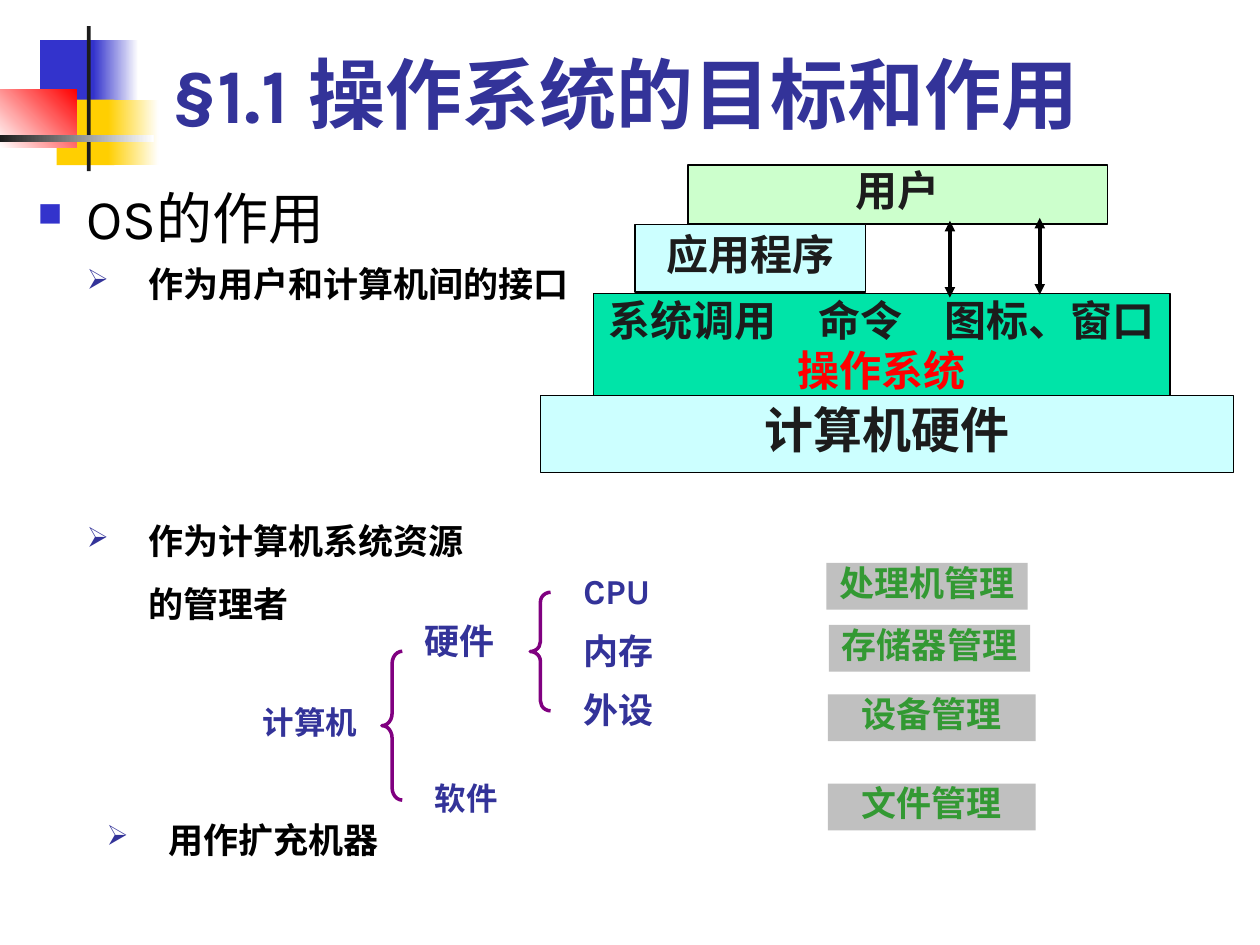
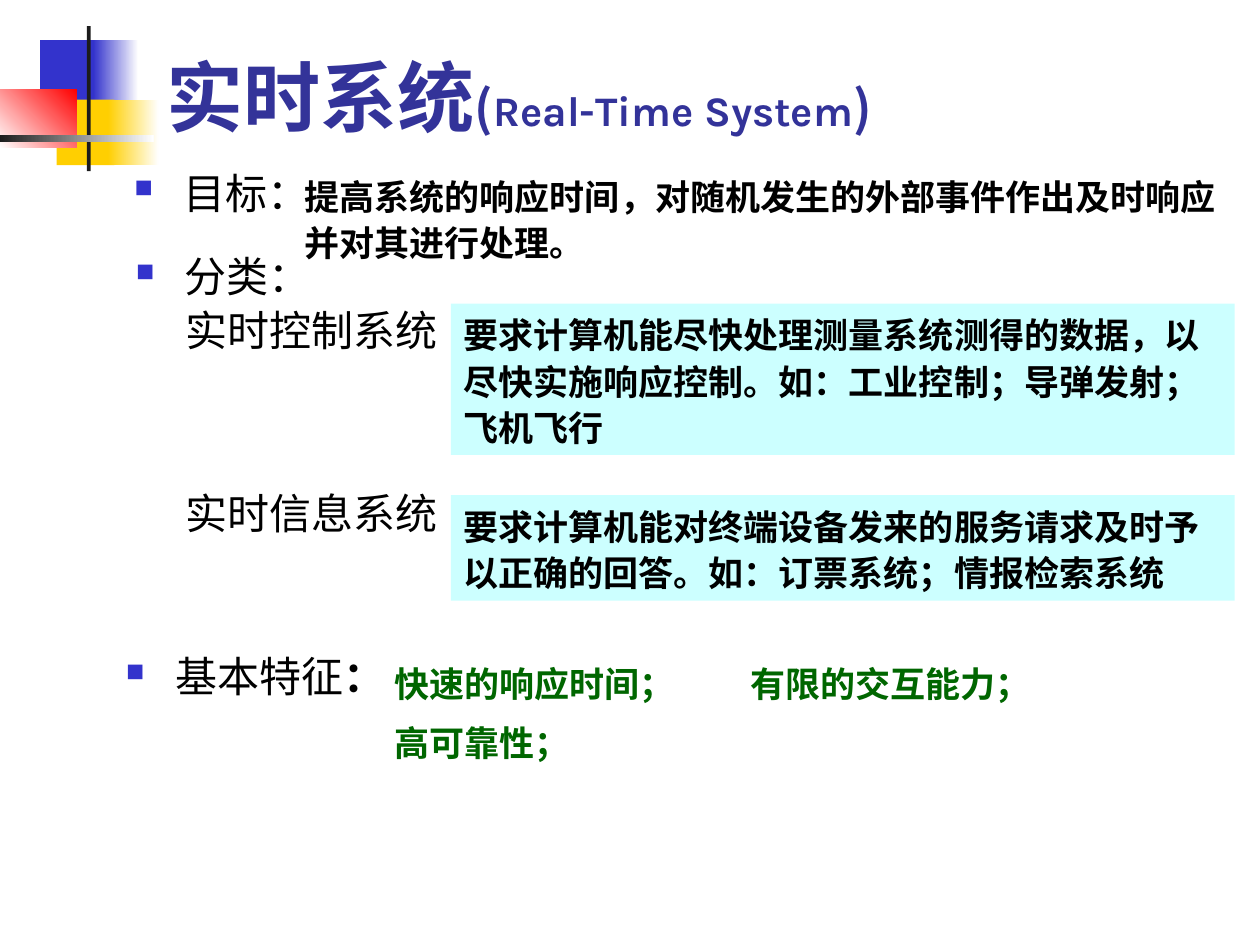
import pptx
import pptx.dml.color
import pptx.enum.dml
import pptx.enum.shapes
import pptx.enum.text
import pptx.oxml.ns
import pptx.util
from lxml import etree

Cm = pptx.util.Cm
Pt = pptx.util.Pt
RGBColor = pptx.dml.color.RGBColor
Shape = pptx.enum.shapes.MSO_SHAPE
Align = pptx.enum.text.PP_ALIGN
Anchor = pptx.enum.text.MSO_ANCHOR
qn = pptx.oxml.ns.qn

LATIN_FONT = "Karla"
CHINESE_FONT = "Noto Sans CJK SC"

WHITE = RGBColor(0xFF, 0xFF, 0xFF)
BLACK = RGBColor(0, 0, 0)
INK = RGBColor(0x1C, 0x1C, 0x1C)
NAVY = RGBColor(0x33, 0x33, 0x99)
BLUE = RGBColor(0x33, 0x33, 0xCC)
GOLD = RGBColor(0xFF, 0xCF, 0x01)
RED = RGBColor(0xFF, 0, 0)
PURPLE = RGBColor(0x80, 0, 0x80)
GRAY = RGBColor(0xC0, 0xC0, 0xC0)
GREEN = RGBColor(0x33, 0x99, 0x33)
DARK_GREEN = RGBColor(0, 0x66, 0)
MINT = RGBColor(0xCC, 0xFF, 0xCC)
CYAN = RGBColor(0xCC, 0xFF, 0xFF)
TEAL = RGBColor(0, 0xE4, 0xA8)

# Places are (left, top, width, height) in centimetres.
# Emblem parts: place, colour or (from, to) gradient, gradient angle
EMBLEM = [
    ((0.81, 0.81, 1.22, 1.32), BLUE, 0),
    ((1.88, 0.81, 0.91, 1.32), (BLUE, WHITE), 0),
    ((1.14, 2.01, 1.17, 1.32), GOLD, 0),
    ((2.18, 2.01, 1.02, 1.32), (GOLD, WHITE), 0),
    ((0, 1.8, 1.55, 1.17), (WHITE, RED), 45),
    ((1.75, 0.53, 0.08, 2.92), INK, 0),
    ((0, 2.72, 3.1, 0.15), (INK, WHITE), 0),
]

# Bullet styles: character, colour, size in percent, hanging indent
SQUARE = ("■", BLUE, 60, 0.99)
ARROWHEAD = ("➢", NAVY, 80, 1.24)

# Title runs: text, size, font
GOALS_TITLE = [("§1.1 操作系统的目标和作用", 44, LATIN_FONT)]
REALTIME_TITLE = [
    ("实时系统", 44, LATIN_FONT),
    ("(", 28, CHINESE_FONT),
    ("Real-Time System", 24, LATIN_FONT),
    (")", 28, CHINESE_FONT),
]

# Roles of the operating system: text, place, line spacing
ROLES = [
    ("作为用户和计算机间的接口", (1.5, 5.33, 13.49, 1.4), 0.8),
    ("作为计算机系统资源的管理者", (1.5, 9.93, 8.2, 1.6), 1.5),
    ("用作扩充机器", (1.9, 16.54, 9.91, 1.6), 0.8),
]
# Layers: lines of (text, colour), size, place, fill, line spacing
LAYERS = [
    ([("用户", INK)], 24, (13.87, 3.33, 8.46, 1.19), MINT, 0.8),
    ([("应用程序", INK)], 24, (12.8, 4.52, 4.65, 1.37), CYAN, 0.8),
    ([("系统调用　命令　图标、窗口", INK), ("操作系统", RED)], 24,
     (11.96, 5.92, 11.63, 2.06), TEAL, 1.0),
    ([("计算机硬件", INK)], 28, (10.9, 7.98, 13.97, 1.55), CYAN, 0.8),
]
USER_LINKS = [(19.15, 4.45), (20.96, 4.39)]
LINK_LENGTH = 1.55

# Resource tree: text, size, place
BRANCHES = [
    ("计算机", 18, (5.05, 14.2, 2.84, 0.86)),
    ("硬件", 20, (8.31, 12.52, 2, 0.94)),
    ("软件", 18, (8.51, 15.72, 1.9, 0.86)),
]
HARDWARE = ["CPU", "内存", "外设"]
HARDWARE_LEFT, HARDWARE_TOP, HARDWARE_STEP = 11.51, 11.53, 1.19
BRACES = [(7.7, 13.13, 0.41, 3), (10.69, 11.94, 0.41, 2.39)]
MANAGERS = [
    ("处理机管理", (16.66, 11.35, 4.06, 0.94)),
    ("存储器管理", (16.71, 12.6, 4.06, 0.94)),
    ("设备管理", (16.69, 14, 4.19, 0.94)),
    ("文件管理", (16.69, 15.8, 4.19, 0.94)),
]

# Headings: text, bold ending, place, line spacing
HEADINGS = [
    ("目标：", "", (2.46, 3.53, 4.39, 0.99), 0.7),
    ("分类：", "", (2.49, 5.13, 4.39, 1.19), 0.8),
    ("基本特征", "：", (2.29, 13.18, 5.99, 1.19), 0.8),
]
GOAL = "提高系统的响应时间，对随机发生的外部事件作出及时响应并对其进行处理。"
# Kinds: name, top of name, explanation, top and height of panel
KINDS = [
    ("实时控制系统", 6.22,
     "要求计算机能尽快处理测量系统测得的数据，以尽快实施响应控制。如：工业控制；导弹发射；飞机飞行",
     6.12, 3.05),
    ("实时信息系统", 9.91,
     "要求计算机能对终端设备发来的服务请求及时予以正确的回答。如：订票系统；情报检索系统",
     9.98, 2.13),
]
FEATURES = [("快速的响应时间；", 7.7, 13.39), ("有限的交互能力；", 14.88, 13.39),
            ("高可靠性；", 7.7, 14.58)]


def to_cm(place):
    return [Cm(length) for length in place]


def add_span(para, text, size, color, bold=False, font=LATIN_FONT):
    span = para.add_run()
    span.text = text
    span.font.size = Pt(size)
    span.font.bold = bold
    span.font.color.rgb = color
    span.font.name = font
    properties = span.font._element
    etree.SubElement(properties, qn("a:ea"), typeface=CHINESE_FONT)


def set_bullet(para, style):
    character, color, percent, indent = style
    properties = para._p.get_or_add_pPr()
    properties.set("marL", str(Cm(indent)))
    properties.set("indent", str(-Cm(indent)))
    bullet_color = etree.SubElement(properties, qn("a:buClr"))
    etree.SubElement(bullet_color, qn("a:srgbClr"), val=str(color))
    etree.SubElement(properties, qn("a:buSzPct"), val=str(percent * 1000))
    etree.SubElement(properties, qn("a:buChar"), char=character)


def space_para(para, spacing, before=0, align=Align.LEFT):
    para.alignment = align
    para.line_spacing = spacing
    para.space_before = Pt(before)


def add_text(slide, place, text, size, color, bold=True, spacing=0.8, before=0,
             bullet=None, fill=None, align=Align.LEFT):
    """Adds one paragraph, on a filled rectangle if fill is given; returns it."""
    if fill is None:
        box = slide.shapes.add_textbox(*to_cm(place))
    else:
        box = add_shape(slide, Shape.RECTANGLE, place, fill)
    frame = box.text_frame
    frame.word_wrap = True
    frame.vertical_anchor = Anchor.TOP
    para = frame.paragraphs[0]
    space_para(para, spacing, before, align)
    if bullet:
        set_bullet(para, bullet)
    add_span(para, text, size, color, bold)
    return para


def add_shape(slide, kind, place, fill=None, line=None, width=0.75):
    shape = slide.shapes.add_shape(kind, *to_cm(place))
    shape.shadow.inherit = False
    if fill is None:
        shape.fill.background()
    else:
        shape.fill.solid()
        shape.fill.fore_color.rgb = fill
    if line is None:
        shape.line.fill.background()
    else:
        shape.line.color.rgb = line
        shape.line.width = Pt(width)
    return shape


def add_double_arrow(slide, left, top, length):
    line = slide.shapes.add_connector(pptx.enum.shapes.MSO_CONNECTOR.STRAIGHT,
                                      *to_cm((left, top, left, top + length)))
    line.line.color.rgb = BLACK
    line.line.width = Pt(2)
    outline = line.line._get_or_add_ln()
    for end in ("a:headEnd", "a:tailEnd"):
        etree.SubElement(outline, qn(end), type="triangle")
    etree.SubElement(line.element.spPr, qn("a:effectLst"))


def move_emblem_to_layout(slide):
    """Draws the emblem and puts it in the layout, behind all slides."""
    layout = slide.slide_layout
    for placeholder in list(layout.placeholders):
        if placeholder.placeholder_format.idx != 0:
            placeholder.element.getparent().remove(placeholder.element)
    for place, color, angle in EMBLEM:
        if isinstance(color, RGBColor):
            part = add_shape(slide, Shape.RECTANGLE, place, color)
        else:
            part = add_shape(slide, Shape.RECTANGLE, place)
            part.fill.gradient()
            part.fill.gradient_angle = angle
            for stop, stop_color in zip(part.fill.gradient_stops, color):
                stop.color.rgb = stop_color
        layout.element.cSld.spTree.append(part.element)


def add_slide(deck, title_runs, place):
    slide = deck.slides.add_slide(deck.slide_layouts[5])
    title = slide.shapes.title
    title.left, title.top, title.width, title.height = to_cm(place)
    frame = title.text_frame
    frame.auto_size = pptx.enum.text.MSO_AUTO_SIZE.NONE
    frame.vertical_anchor = Anchor.BOTTOM
    para = frame.paragraphs[0]
    para.alignment = Align.LEFT
    for text, size, font in title_runs:
        add_span(para, text, size, NAVY, True, font)
    return slide


def fill_goals_slide(slide):
    add_text(slide, (0.51, 3.73, 11, 1.6), "OS的作用", 32, BLACK, bold=False,
             spacing=0.9, before=8, bullet=SQUARE)
    for text, place, spacing in ROLES:
        add_text(slide, place, text, 20, BLACK, spacing=spacing, bullet=ARROWHEAD)

    for lines, size, place, fill, spacing in LAYERS:
        layer = add_shape(slide, Shape.RECTANGLE, place, fill, BLACK)
        frame = layer.text_frame
        frame.word_wrap = True
        frame.vertical_anchor = Anchor.MIDDLE
        for index, (text, color) in enumerate(lines):
            para = frame.add_paragraph() if index else frame.paragraphs[0]
            space_para(para, spacing, align=Align.CENTER)
            add_span(para, text, size, color, True)
    for left, top in USER_LINKS:
        add_double_arrow(slide, left, top, LINK_LENGTH)

    for text, size, place in BRANCHES:
        add_text(slide, place, text, size, NAVY, before=size / 4)
    for row, text in enumerate(HARDWARE):
        place = (HARDWARE_LEFT, HARDWARE_TOP + row * HARDWARE_STEP, 2, 0.94)
        add_text(slide, place, text, 20, NAVY, before=5)
    for place in BRACES:
        brace = add_shape(slide, Shape.LEFT_BRACE, place, line=PURPLE, width=2)
        brace.adjustments[0] = place[3] / place[2] / 12
    for text, place in MANAGERS:
        add_text(slide, place, text, 20, GREEN, before=5, fill=GRAY,
                 align=Align.CENTER)


def fill_realtime_slide(slide):
    for text, ending, place, spacing in HEADINGS:
        para = add_text(slide, place, text, 24, BLACK, bold=False,
                        spacing=spacing, before=6, bullet=SQUARE)
        if ending:
            add_span(para, ending, 24, BLACK, True)
    add_text(slide, (5.89, 3.33, 19.05, 2.13), GOAL, 20, BLACK, spacing=1.1)
    for name, name_top, explanation, top, height in KINDS:
        add_text(slide, (3.5, name_top, 5.7, 1.07), name, 24, BLACK, bold=False,
                 before=6)
        add_text(slide, (9.09, top, 15.8, height), explanation, 20, BLACK,
                 spacing=1.1, before=5, fill=CYAN)
    for text, left, top in FEATURES:
        add_text(slide, (left, top, 6.3, 0.94), text, 20, DARK_GREEN, before=5)


def main():
    deck = pptx.Presentation()
    deck.slide_width, deck.slide_height = Cm(25.4), Cm(19.05)
    goals = add_slide(deck, GOALS_TITLE, (3.2, 0.91, 21.64, 2.01))
    move_emblem_to_layout(goals)
    fill_goals_slide(goals)
    realtime = add_slide(deck, REALTIME_TITLE, (3.1, 0.53, 21.64, 2.46))
    fill_realtime_slide(realtime)
    deck.save("out.pptx")


if __name__ == "__main__":
    main()
